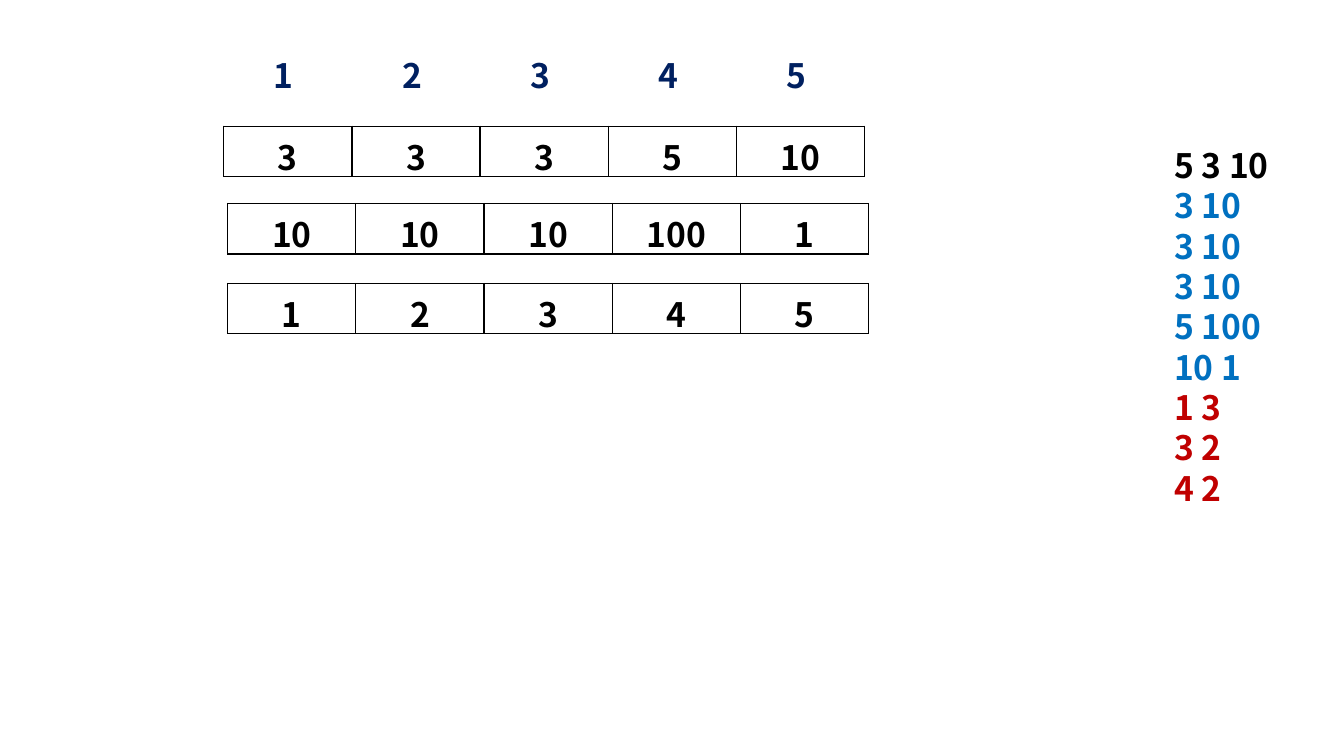
import dataclasses

import lxml.etree
import pptx
import pptx.dml.color
import pptx.enum.text
import pptx.oxml.ns
import pptx.util
from pptx.util import Cm


@dataclasses.dataclass(frozen=True)
class Theme:
    """Colours and type of the slide."""
    font: str = "Noto Sans CJK SC"
    size: int = 24
    ink: str = "000000"
    index: str = "002060"
    item: str = "0070C0"
    relation: str = "C00000"
    border: int = 1


THEME = Theme()
INPUT_LINES = [
    ("5 3 10", THEME.ink),
    ("3 10", THEME.item),
    ("3 10", THEME.item),
    ("3 10", THEME.item),
    ("5 100", THEME.item),
    ("10 1", THEME.item),
    ("1 3", THEME.relation),
    ("3 2", THEME.relation),
    ("4 2", THEME.relation),
]
ARRAYS = [
    (5.64, 3.18, ["3", "3", "3", "5", "10"]),
    (5.74, 5.13, ["10", "10", "10", "100", "1"]),
    (5.74, 7.14, ["1", "2", "3", "4", "5"]),
]


def write(paragraph, text, color=THEME.ink, align=None):
    """Write bold text into a paragraph."""
    paragraph.alignment = align
    run = paragraph.add_run()
    run.text = text
    run.font.name = THEME.font
    run.font.size = pptx.util.Pt(THEME.size)
    run.font.bold = True
    run.font.color.rgb = pptx.dml.color.RGBColor.from_string(color)


def outline(cell, visible):
    """Set the four borders of a cell."""
    properties = cell._tc.get_or_add_tcPr()
    qn = pptx.oxml.ns.qn
    for position, side in enumerate(("lnL", "lnR", "lnT", "lnB")):
        line = lxml.etree.Element(qn(f"a:{side}"), w=str(pptx.util.Pt(THEME.border)))
        if visible:
            fill = lxml.etree.SubElement(line, qn("a:solidFill"))
            lxml.etree.SubElement(fill, qn("a:srgbClr"), val=THEME.ink)
        else:
            lxml.etree.SubElement(line, qn("a:noFill"))
        properties.insert(position, line)


def add_array(slide, left, top, values, color=THEME.ink, bordered=True):
    """Add a one-row table of values."""
    array = slide.shapes.add_table(
        1, len(values), Cm(left), Cm(top), Cm(3.23 * len(values)), Cm(1.04)).table
    array.first_row = array.horz_banding = False
    for cell, value in zip(array.iter_cells(), values):
        cell.fill.background()
        outline(cell, bordered)
        write(cell.text_frame.paragraphs[0], value, color=color,
              align=pptx.enum.text.PP_ALIGN.CENTER)


def add_input(slide, lines):
    """Add the coloured lines of sample input."""
    frame = slide.shapes.add_textbox(Cm(29.34), Cm(3.53), Cm(3.2), Cm(10.52)).text_frame
    frame.word_wrap = True
    for number, (text, color) in enumerate(lines):
        paragraph = frame.add_paragraph() if number else frame.paragraphs[0]
        write(paragraph, text, color=color)


def main():
    """Build and save the slide."""
    deck = pptx.Presentation()
    deck.slide_width, deck.slide_height = Cm(33.87), Cm(19.05)
    slide = deck.slides.add_slide(deck.slide_layouts[6])
    add_input(slide, INPUT_LINES)
    for left, top, values in ARRAYS:
        add_array(slide, left, top, values)
    add_array(slide, 5.54, 1.12, [str(number) for number in range(1, 6)],
              color=THEME.index, bordered=False)
    deck.save("out.pptx")


if __name__ == "__main__":
    main()
